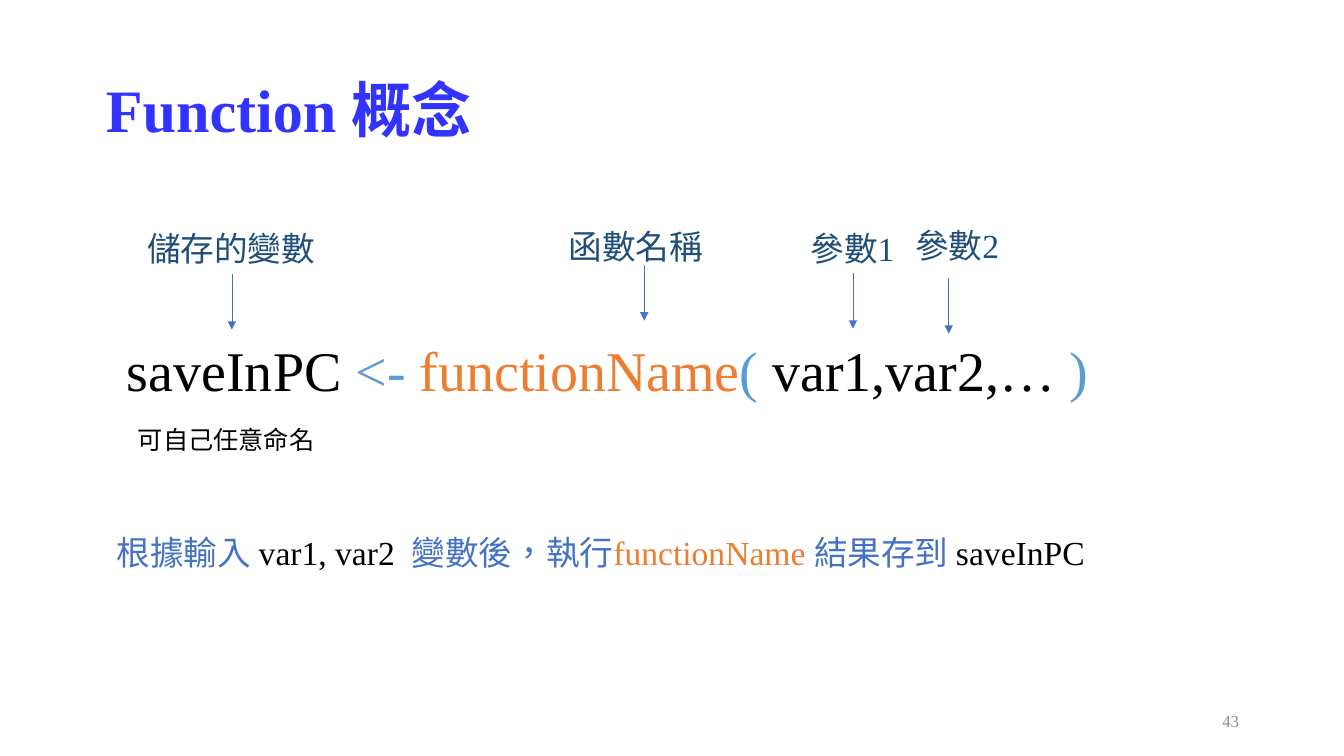
"""Build a slide that explains the parts of a function call."""
import pptx
import pptx.dml.color
import pptx.enum.dml
import pptx.enum.lang
import pptx.enum.shapes
import pptx.enum.text
import pptx.oxml
import pptx.oxml.ns
import pptx.util
from dataclasses import dataclass

Inches = pptx.util.Inches
ANCHOR = pptx.enum.text.MSO_ANCHOR
ALIGN = pptx.enum.text.PP_ALIGN


@dataclass(frozen=True)
class Theme:
    font: str = "Times New Roman"
    title: str = "3333FF"
    label: str = "1F4E79"
    accent: str = "4472C4"
    symbol: str = "5B9BD5"
    function: str = "ED7D31"
    ink: str = "000000"
    muted: str = "8C8C8C"
    title_size: int = 43
    code_size: int = 40
    body_size: int = 24
    note_size: int = 18
    number_size: int = 12


THEME = Theme()


def add_text(s, box, runs, size, bold=False, inset=(0.1, 0.05),
             anchor=ANCHOR.TOP, paragraph=None):
    sp = s.shapes.add_textbox(*map(Inches, box))
    tf = sp.text_frame
    across, down = map(Inches, inset)
    frame = dict(word_wrap=True, vertical_anchor=anchor, margin_left=across,
                 margin_right=across, margin_top=down, margin_bottom=down)
    for name, value in frame.items():
        setattr(tf, name, value)
    p = tf.paragraphs[0]
    for name, value in (paragraph or {}).items():
        setattr(p, name, value)
    for text, color in runs:
        r = p.add_run()
        r.text = text
        style = dict(name=THEME.font, size=pptx.util.Pt(size), bold=bold,
                     language_id=pptx.enum.lang.MSO_LANGUAGE_ID.TRADITIONAL_CHINESE)
        for name, value in style.items():
            setattr(r.font, name, value)
        r.font.color.rgb = pptx.dml.color.RGBColor.from_string(color)


def add_down_arrow(s, x, top, length=0.55):
    ends = map(Inches, (x, top, x, top + length))
    c = s.shapes.add_connector(pptx.enum.shapes.MSO_CONNECTOR.STRAIGHT, *ends)
    c.line.width = pptx.util.Pt(0.5)
    c.line.color.rgb = pptx.dml.color.RGBColor.from_string(THEME.accent)
    ns = pptx.oxml.ns.nsdecls("a")
    c.line._get_or_add_ln().append(
        pptx.oxml.parse_xml(f'<a:tailEnd {ns} type="triangle"/>'))
    c._element.spPr.append(pptx.oxml.parse_xml(f"<a:effectLst {ns}/>"))


def add_callout(s, text, box, arrow_x, arrow_top):
    add_text(s, box, [(text, THEME.label)], THEME.body_size)
    add_down_arrow(s, arrow_x, arrow_top)


def main():
    prs = pptx.Presentation()
    prs.slide_width, prs.slide_height = Inches(13.33), Inches(7.5)
    s = prs.slides.add_slide(prs.slide_layouts[6])
    t = THEME

    add_text(s, (0.92, 0.4, 11.5, 1.45), [("Function 概念", t.title)],
             t.title_size, bold=True, inset=(0.13, 0.07),
             anchor=ANCHOR.MIDDLE, paragraph=dict(line_spacing=0.9))
    add_text(s, (9.42, 6.95, 3, 0.4), [("43", t.muted)], t.number_size,
             inset=(0.13, 0.07), anchor=ANCHOR.MIDDLE,
             paragraph=dict(alignment=ALIGN.RIGHT))

    call = [("saveInPC ", t.ink), ("<- ", t.symbol),
            ("functionName", t.function), ("(", t.symbol),
            (" var1,var2,… ", t.ink), (")", t.symbol)]
    add_text(s, (1.06, 3.13, 10.97, 1.07), call, t.code_size, inset=(0.2, 0.2))

    callouts = [("儲存的變數", (1.36, 2.21, 1.88, 0.5), 2.3, 2.72),
                ("函數名稱", (5.54, 2.19, 1.55, 0.5), 6.39, 2.63),
                ("參數1", (7.94, 2.21, 1.07, 0.5), 8.46, 2.71),
                ("參數2", (8.98, 2.18, 1.07, 0.5), 9.41, 2.76)]
    for callout in callouts:
        add_callout(s, *callout)

    summary = [("根據輸入 ", t.accent), ("var1, var2  ", t.ink),
               ("變數後，執行", t.accent), ("functionName ", t.function),
               ("結果存到 ", t.accent), ("saveInPC", t.ink)]
    add_text(s, (1.06, 5.23, 10, 0.5), summary, t.body_size)
    add_text(s, (1.27, 4.16, 1.97, 0.4), [("可自己任意命名", t.ink)], t.note_size)
    prs.save("out.pptx")


if __name__ == "__main__":
    main()
